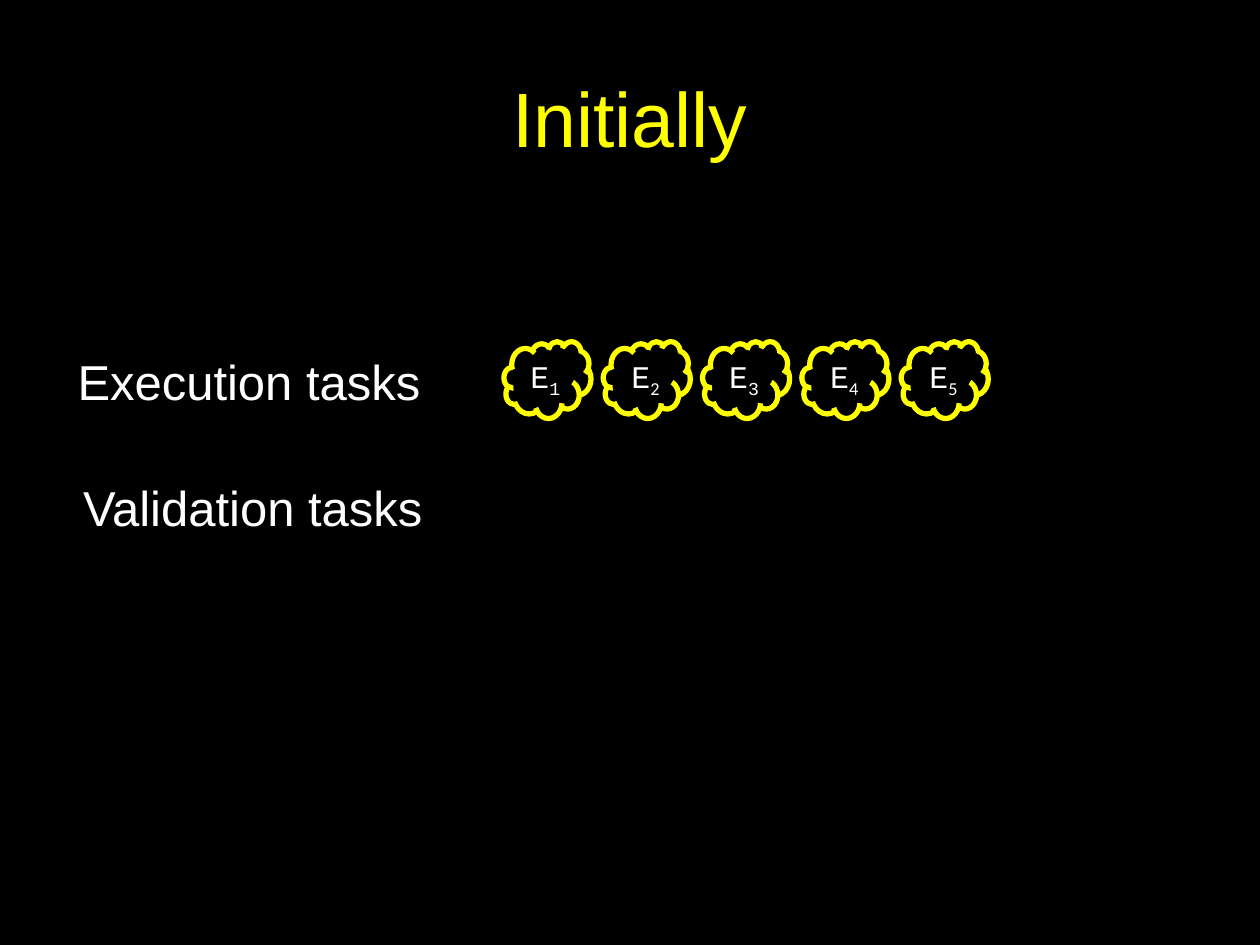
from pptx import Presentation
from pptx import util as u
from pptx.dml.color import RGBColor
from pptx.enum import shapes, text

BLACK = RGBColor(0, 0, 0)
WHITE = RGBColor(255, 255, 255)
YELLOW = RGBColor(255, 255, 0)

LABEL = {"name": "Arial", "size": u.Pt(28)}
TASK = {"name": "Courier New", "size": u.Pt(18)}
TITLE = {"name": "Arial", "size": u.Pt(44)}
SUBSCRIPT_FONTS = ["Courier New", "Calibri", "Courier New", "Calibri", "Calibri"]


def add_run(p, words, style, color):
    """Append a formatted run to a paragraph."""
    r = p.add_run()
    r.text = words
    for key, value in style.items():
        setattr(r.font, key, value)
    r.font.color.rgb = color
    return r


def format_frame(tf, **values):
    """Set text frame attributes and return the first paragraph."""
    for key, value in values.items():
        setattr(tf, key, value)
    return tf.paragraphs[0]


def add_title(s, words):
    """Place and format the title placeholder."""
    sp = s.shapes.title
    sp.left, sp.top, sp.width, sp.height = map(u.Pt, (36, 21.6, 648, 90))
    p = format_frame(sp.text_frame, vertical_anchor=text.MSO_ANCHOR.MIDDLE)
    p.alignment = text.PP_ALIGN.CENTER
    add_run(p, words, TITLE, YELLOW)


def add_label(s, words, left, top, width):
    """Add a row label on a black ground."""
    sp = s.shapes.add_textbox(u.Pt(left), u.Pt(top), u.Pt(width), u.Pt(41.2))
    sp.fill.solid()
    sp.fill.fore_color.rgb = BLACK
    p = format_frame(sp.text_frame, word_wrap=False,
                     auto_size=text.MSO_AUTO_SIZE.SHAPE_TO_FIT_TEXT)
    p.alignment = text.PP_ALIGN.CENTER
    add_run(p, words, LABEL, WHITE)


def add_task(s, number, subscript_font, left, top):
    """Add a cloud holding an execution task with its subscript."""
    sp = s.shapes.add_shape(shapes.MSO_SHAPE.CLOUD, u.Pt(left), u.Pt(top),
                            u.Pt(49.7), u.Pt(43.9))
    sp.shadow.inherit = False
    sp.fill.background()
    sp.line.color.rgb = YELLOW
    sp.line.width = u.Pt(3)
    p = format_frame(sp.text_frame, word_wrap=False,
                     auto_size=text.MSO_AUTO_SIZE.SHAPE_TO_FIT_TEXT,
                     vertical_anchor=text.MSO_ANCHOR.MIDDLE)
    p.alignment = text.PP_ALIGN.RIGHT
    add_run(p, "E", TASK, WHITE)
    r = add_run(p, str(number), {**TASK, "name": subscript_font}, WHITE)
    r.font._element.set("baseline", "-25000")


def main():
    """Build the slide and save it."""
    prs = Presentation()
    prs.slide_width, prs.slide_height = u.Pt(720), u.Pt(540)
    s = prs.slides.add_slide(prs.slide_layouts[5])
    s.background.fill.solid()
    s.background.fill.fore_color.rgb = BLACK
    add_title(s, "Initially")
    add_label(s, "Execution tasks", 36, 197.3, 212.4)
    add_label(s, "Validation tasks", 38.9, 269.3, 211)
    for i, font in enumerate(SUBSCRIPT_FONTS):
        add_task(s, i + 1, font, 288 + 56.75 * i, 195.1)
    prs.save("out.pptx")


if __name__ == "__main__":
    main()
